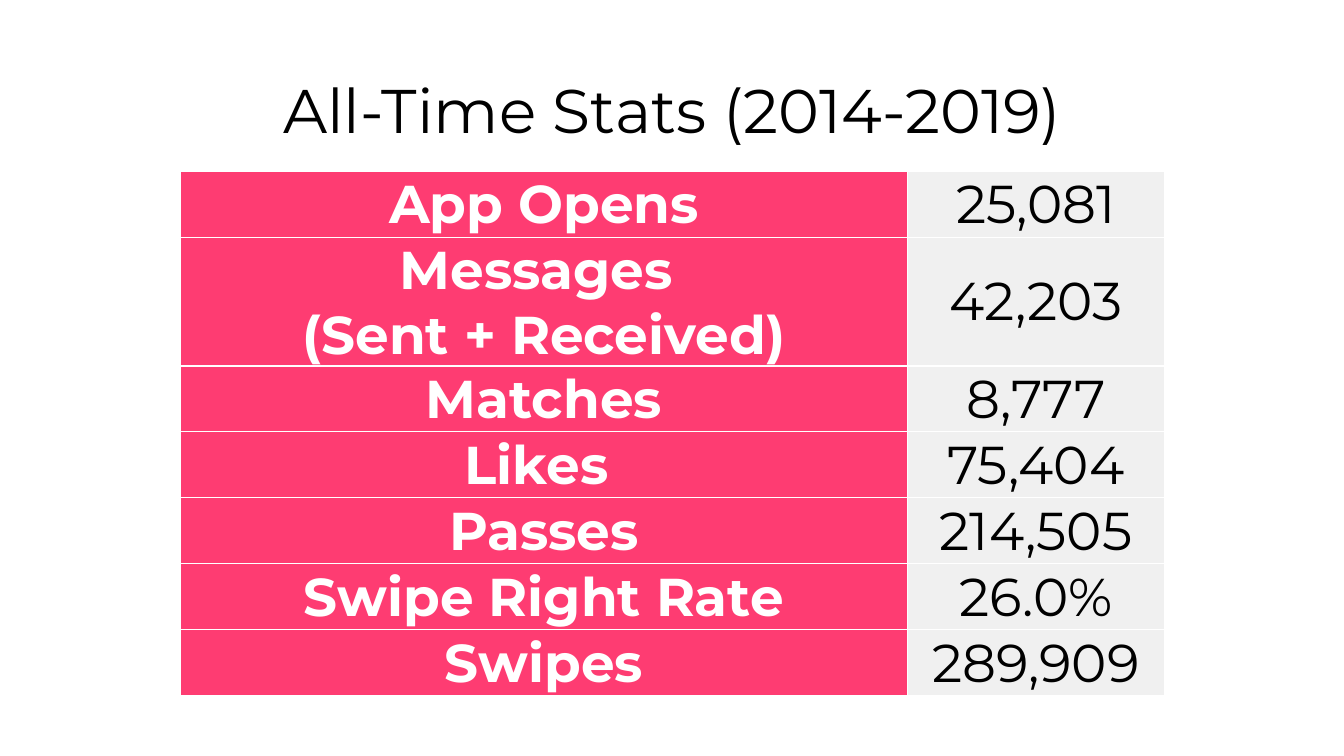
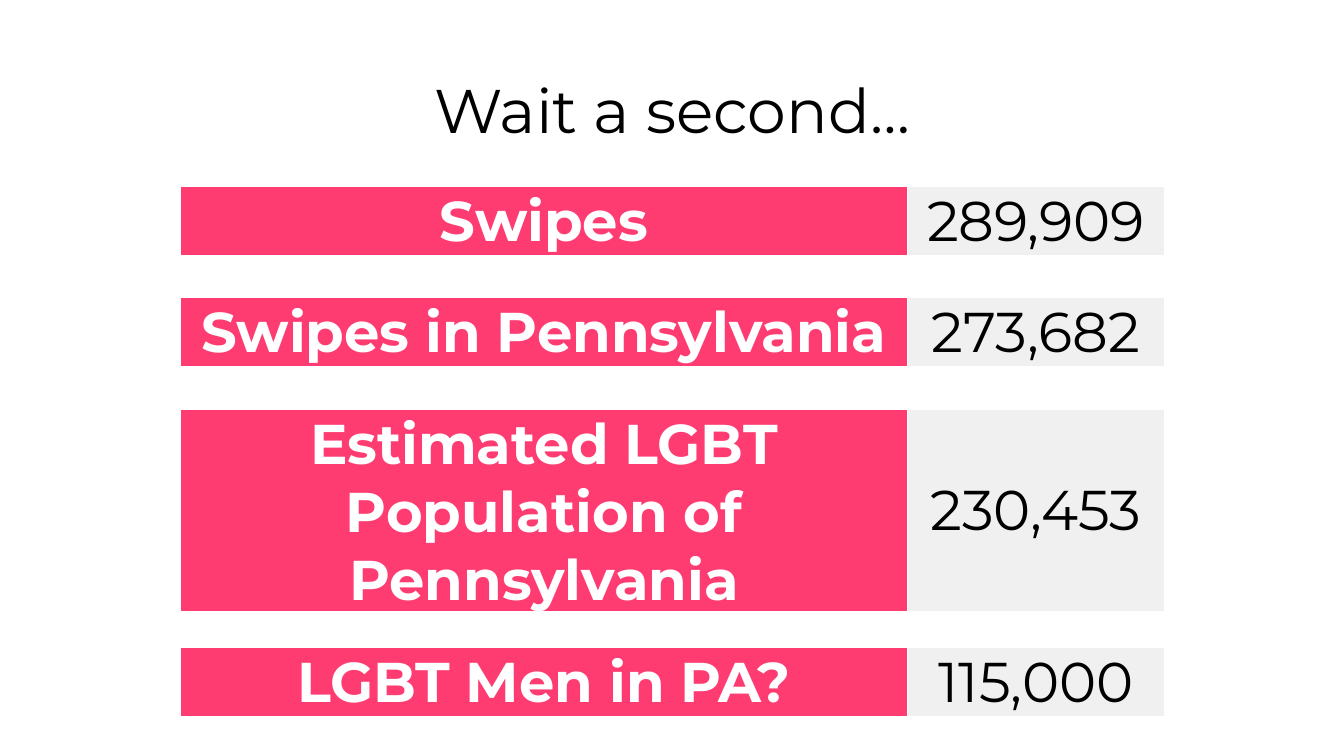
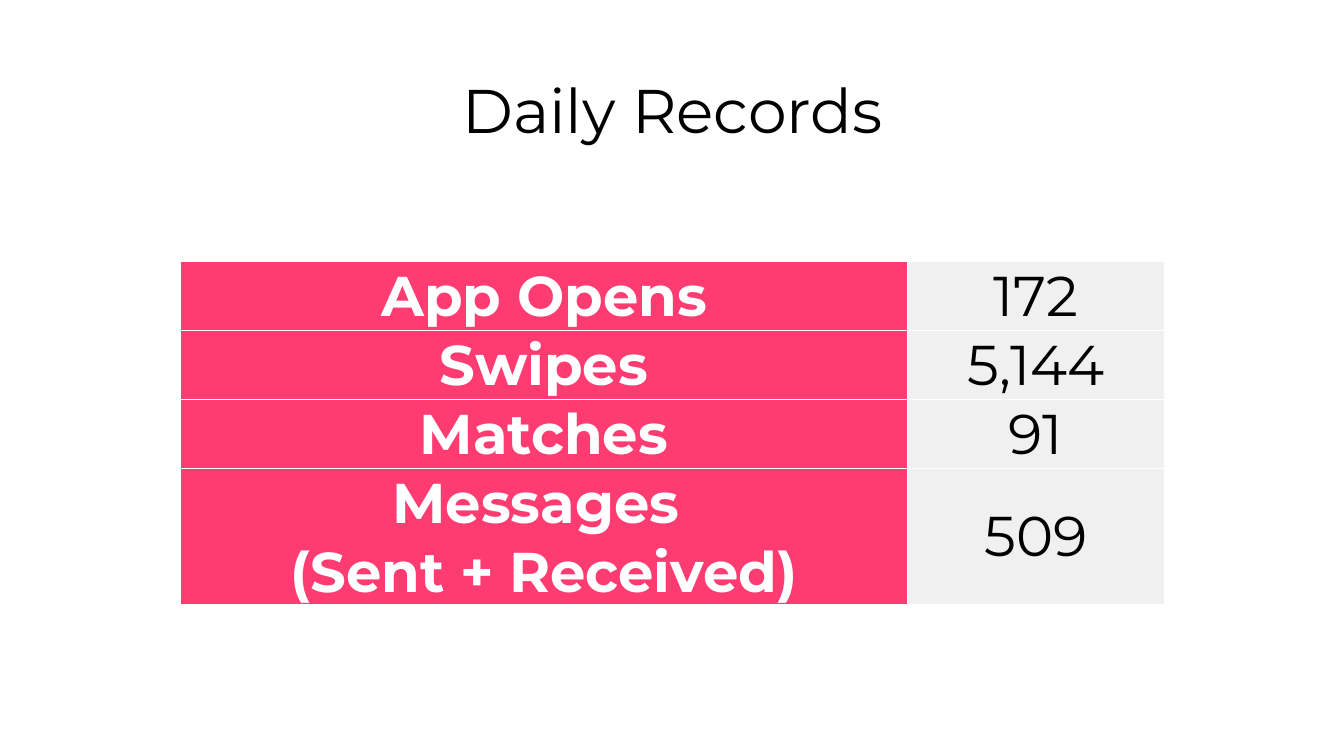
from lxml.etree import SubElement
from pptx import Presentation
from pptx.dml.color import RGBColor
from pptx.enum.text import MSO_ANCHOR, PP_ALIGN
from pptx.oxml.ns import qn
from pptx.util import Inches, Pt

FONT = "Montserrat"
WHITE, BLACK, PINK, GREY = "FFFFFF", "000000", "FE3C72", "F0F0F0"
TABLE_LEFT, COLUMN_WIDTHS, ROW_HEIGHT = 1.79, (7.21, 2.55), 0.57
LABEL = {"fill": PINK, "color": WHITE, "bold": True, "margins": (0.01, 0.01, 0.01, 0)}
VALUE = {"fill": GREY, "color": BLACK, "bold": False, "margins": (0.03, 0.01, 0.03, 0.01)}
SIDES = ("margin_left", "margin_top", "margin_right", "margin_bottom")

MESSAGES = "Messages \n(Sent + Received)"
SLIDES = [
    ("All-Time Stats (2014-2019)", 38, [
        (1.7, 5.2, [
            ("App Opens", "25,081"),
            (MESSAGES, "42,203"),
            ("Matches", "8,777"),
            ("Likes ", "75,404"),
            ("Passes", "214,505"),
            ("Swipe Right Rate", "26.0%"),
            ("Swipes", "289,909"),
        ]),
    ]),
    ("Wait a second…", 40, [
        (1.85, 0.69, [("Swipes", "289,909")]),
        (2.95, 0.69, [("Swipes in Pennsylvania", "273,682")]),
        (4.06, 2.01, [("Estimated LGBT Population of Pennsylvania", "230,453")]),
        (6.42, 0.69, [("LGBT Men in PA?", "115,000")]),
    ]),
    ("Daily Records", 40, [
        (2.59, 3.4, [
            ("App Opens", "172"),
            ("Swipes", "5,144"),
            ("Matches", "91"),
            (MESSAGES, "509"),
        ]),
    ]),
]


def write(frame, text, size, color, bold=False):
    frame.text = text
    for para in frame.paragraphs:
        para.alignment = PP_ALIGN.CENTER
        for span in para.runs:
            for name, value in {"name": FONT, "size": Pt(size), "bold": bold}.items():
                setattr(span.font, name, value)
            span.font.color.rgb = RGBColor.from_string(color)


def style_cell(cell, text, size, look):
    write(cell.text_frame, text, size, look["color"], look["bold"])
    cell.vertical_anchor = MSO_ANCHOR.MIDDLE
    for side, margin in zip(SIDES, look["margins"]):
        setattr(cell, side, Inches(margin))
    properties = cell._tc.get_or_add_tcPr()
    for edge in ("a:lnL", "a:lnR", "a:lnT", "a:lnB"):
        line = SubElement(properties, qn(edge), w=str(Pt(1)))
        SubElement(SubElement(line, qn("a:solidFill")), qn("a:srgbClr"), val=WHITE)
    cell.fill.solid()
    cell.fill.fore_color.rgb = RGBColor.from_string(look["fill"])


deck = Presentation()
deck.slide_width, deck.slide_height = Inches(13.33), Inches(7.5)

for title, size, tables in SLIDES:
    page = deck.slides.add_slide(deck.slide_layouts[6])
    box = page.shapes.add_textbox(Inches(0.92), Inches(0.4), Inches(11.5), Inches(1.45))
    box.text_frame.word_wrap = True
    box.text_frame.vertical_anchor = MSO_ANCHOR.MIDDLE
    write(box.text_frame, title, 44, BLACK)
    box.text_frame.paragraphs[0].line_spacing = 0.9

    for top, height, rows in tables:
        holder = page.shapes.add_table(
            len(rows), 2, Inches(TABLE_LEFT), Inches(top),
            Inches(sum(COLUMN_WIDTHS)), Inches(height))
        table = holder.table
        table.first_row = table.horz_banding = False
        for column, width in zip(table.columns, COLUMN_WIDTHS):
            column.width = Inches(width)
        for row, texts in zip(table.rows, rows):
            row.height = Inches(ROW_HEIGHT)
            for cell, text, look in zip(row.cells, texts, (LABEL, VALUE)):
                style_cell(cell, text, size, look)
        holder.height = Inches(height)

deck.save("out.pptx")
